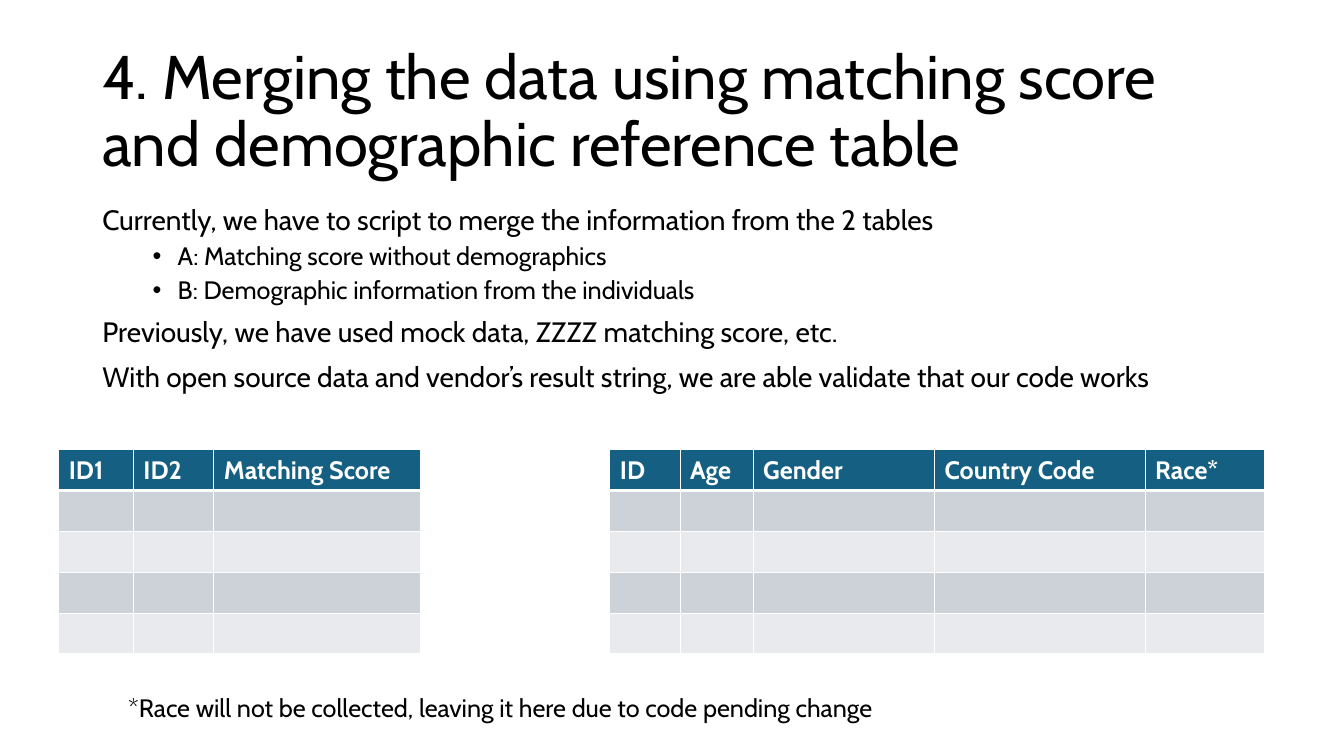
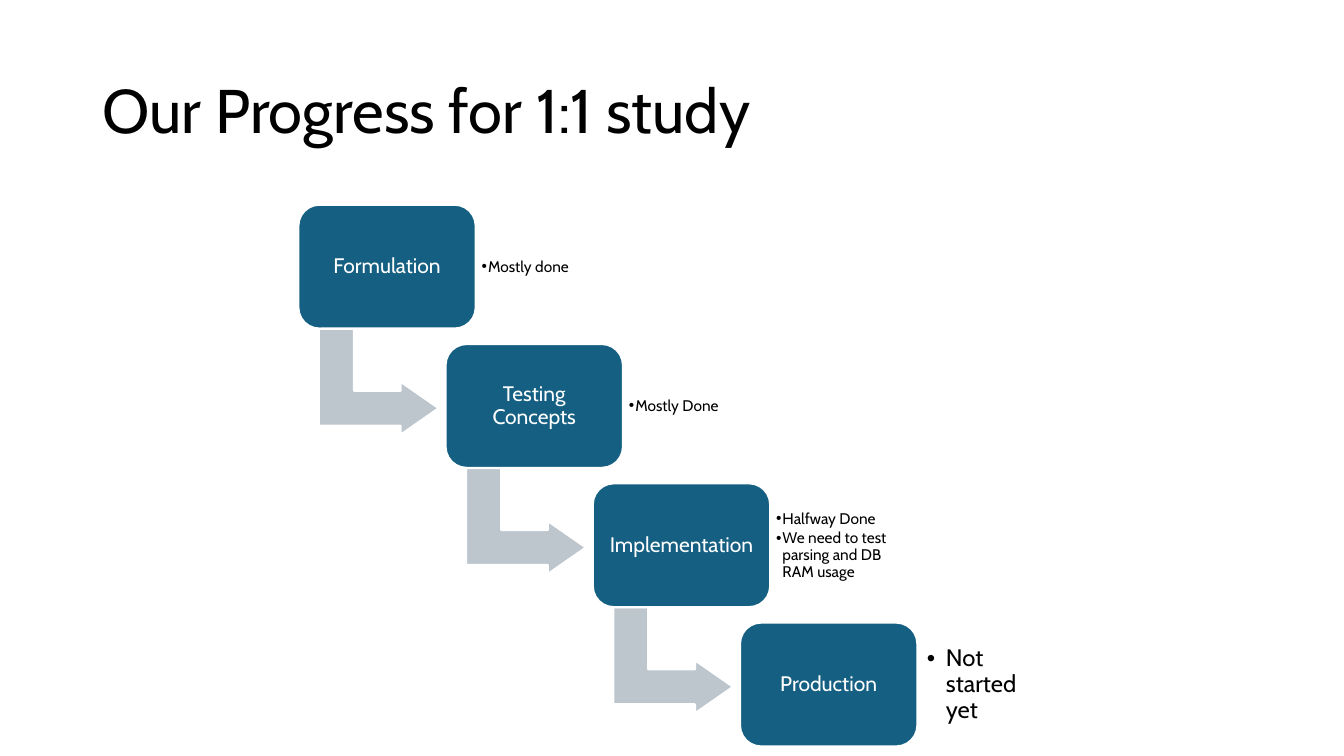
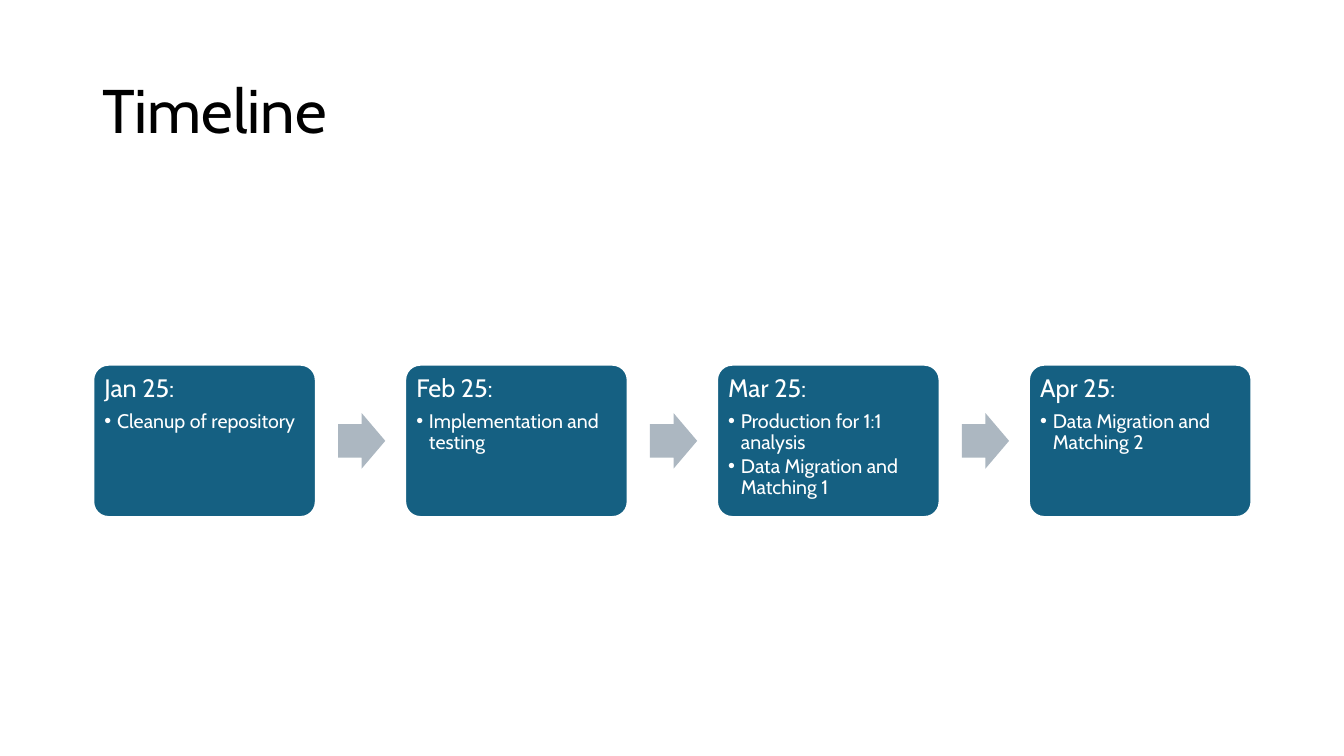
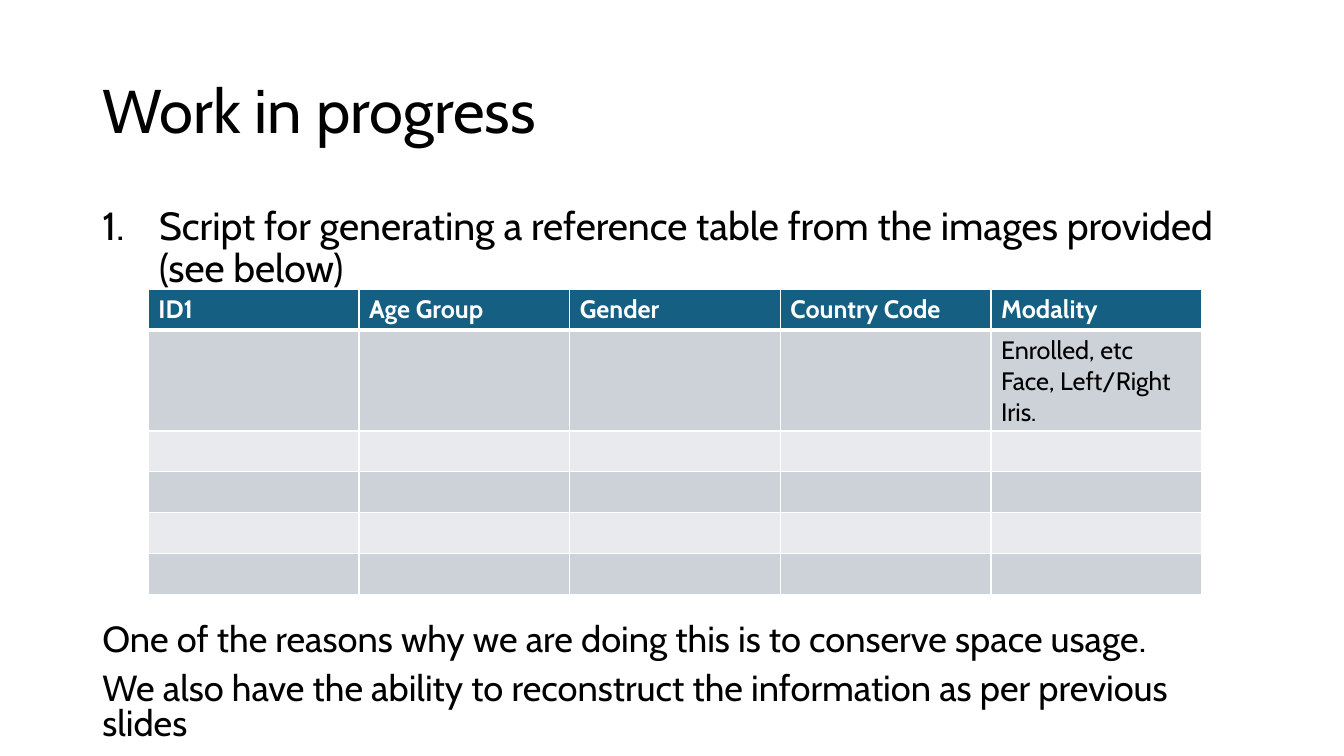
"""Builds four slides on merging matching scores, study progress and timeline."""
from dataclasses import dataclass

from lxml import etree
from pptx import Presentation
from pptx.dml.color import RGBColor
from pptx.enum.shapes import MSO_SHAPE
from pptx.enum.text import MSO_ANCHOR, PP_ALIGN
from pptx.oxml.ns import qn
from pptx.util import Cm, Pt

ROUNDED, BENT_ARROW, RIGHT_ARROW = (
    MSO_SHAPE.ROUNDED_RECTANGLE, MSO_SHAPE.BENT_UP_ARROW, MSO_SHAPE.RIGHT_ARROW)
TOP, MIDDLE = MSO_ANCHOR.TOP, MSO_ANCHOR.MIDDLE
LEFT, CENTER = PP_ALIGN.LEFT, PP_ALIGN.CENTER
FONT = "Cabin"
BLACK, WHITE, BLUE = "000000", "FFFFFF", "156082"
BENT_GREY, ARROW_GREY = "BDC5CD", "ACB7C1"
BANDS = ["E8EAED", "CCD2D8"]
rgb = RGBColor.from_string


@dataclass
class Style:
    """How one kind of paragraph looks; the indent is in centimetres."""
    size: float
    color: str = BLACK
    spacing: float = 0.9
    before: float = 0
    after: float = 0
    left: float = 0
    hang: float = 0
    bullet: str = ""
    align: int = LEFT
    bold: bool = False


TITLE = Style(44)
BODY = Style(20, before=10)
SUB_BODY = Style(18, before=5, left=1.9, hang=0.63, bullet="•")
NUMBERED = Style(28, before=10, left=1.43, hang=1.43, bullet="1.")
CLOSING = Style(25.9, spacing=0.8, before=10)
FOOTNOTE = CELL = Style(18, spacing=1)
HEADER = Style(18, WHITE, spacing=1, bold=True)
STEP = Style(15, WHITE, after=5, align=CENTER)
STEP_NOTE = Style(11, after=2, left=0.16, hang=0.16, bullet="•")
LAST_NOTE = Style(17, after=3, left=0.48, hang=0.48, bullet="•")
MONTH = Style(18, WHITE, after=6)
TASK = Style(14, WHITE, after=2, left=0.32, hang=0.32, bullet="•")


def write(tf, paras, anchor=TOP, inset=None):
    """Fill a text frame with (style, text) paragraphs."""
    tf.word_wrap = True
    tf.vertical_anchor = anchor
    if inset is not None:
        tf.margin_left = tf.margin_right = tf.margin_top = tf.margin_bottom = Cm(inset)
    for i, (style, text) in enumerate(paras):
        p = tf.add_paragraph() if i else tf.paragraphs[0]
        p.alignment = style.align
        p.line_spacing = style.spacing
        p.space_before, p.space_after = Pt(style.before), Pt(style.after)
        if style.bullet:
            pPr = p._p.get_or_add_pPr()
            pPr.set("marL", str(Cm(style.left)))
            pPr.set("indent", str(-Cm(style.hang)))
            if style.bullet == "1.":
                etree.SubElement(pPr, qn("a:buAutoNum"), type="arabicPeriod")
            else:
                etree.SubElement(pPr, qn("a:buFont"), typeface="Arial")
                etree.SubElement(pPr, qn("a:buChar"), char=style.bullet)
        for j, line in enumerate(text.split("\n")):
            if j:
                p.add_line_break()
            r = p.add_run()
            r.text = line
            r.font.name, r.font.size, r.font.bold = FONT, Pt(style.size), style.bold
            r.font.color.rgb = rgb(style.color)


def add_shape(s, kind, box, adjustments, fill, outlined=True):
    """Add a filled preset shape, with a white outline if wanted."""
    sp = s.shapes.add_shape(kind, *map(Cm, box))
    sp.shadow.inherit = False
    for i, value in enumerate(adjustments):
        sp.adjustments[i] = value
    sp.fill.solid()
    sp.fill.fore_color.rgb = rgb(fill)
    if outlined:
        sp.line.color.rgb = rgb(WHITE)
        sp.line.width = Pt(1.5)
    else:
        sp.line.fill.background()
    return sp


prs = Presentation()
prs.slide_width, prs.slide_height = Cm(33.87), Cm(19.05)

slides = []
for title in ["4. Merging the data using matching score and demographic reference table",
              "Our Progress for 1:1 study", "Timeline", "Work in progress"]:
    s = prs.slides.add_slide(prs.slide_layouts[6])
    tb = s.shapes.add_textbox(Cm(2.33), Cm(1.01), Cm(29.21), Cm(3.68))
    write(tb.text_frame, [(TITLE, title)], MIDDLE)
    slides.append(s)
merging, progress, timeline, work = slides

texts = [
    (merging, (2.33, 5.07, 29.21, 6.15), [
        (BODY, "Currently, we have to script to merge the information from the 2 tables"),
        (SUB_BODY, "A: Matching score without demographics"),
        (SUB_BODY, "B: Demographic information from the individuals"),
        (BODY, "Previously, we have used mock data, ZZZZ matching score, etc."),
        (BODY, "With open source data and vendor’s result string, we are able validate "
               "that our code works")]),
    (merging, (2.98, 17.32, 20.2, 1.03), [
        (FOOTNOTE, "*Race will not be collected, leaving it here due to code pending change")]),
    (work, (2.33, 5.07, 29.21, 2.46), [
        (NUMBERED, "Script for generating a reference table from the images provided "
                   "(see below)")]),
    (work, (2.33, 15.62, 29.21, 3.43), [
        (CLOSING, "One of the reasons why we are doing this is to conserve space usage."),
        (CLOSING, "We also have the ability to reconstruct the information as per "
                  "previous slides")]),
]
for s, box, paras in texts:
    write(s.shapes.add_textbox(*map(Cm, box)).text_frame, paras)

ROW_HEIGHT = 1.03
tables = [
    (merging, 1.48, 11.33, 5, [1.88, 2.03, 5.21], ["ID1", "ID2", "Matching Score"], {}),
    (merging, 15.37, 11.33, 5, [1.77, 1.84, 4.57, 5.31, 3.02],
     ["ID", "Age", "Gender", "Country Code", "Race*"], {}),
    (work, 3.74, 7.29, 6, [5.31] * 5,
     ["ID1", "Age Group", "Gender", "Country Code", "Modality"],
     {(1, 4): "Enrolled, etc\nFace, Left/Right Iris."}),
]
for s, left, top, rows, widths, headers, entries in tables:
    table = s.shapes.add_table(rows, len(widths), Cm(left), Cm(top),
                               Cm(sum(widths)), Cm(rows * ROW_HEIGHT)).table
    table.horz_banding = False
    for column, width in zip(table.columns, widths):
        column.width = Cm(width)
    for i, row in enumerate(table.rows):
        row.height = Cm(ROW_HEIGHT)
        for j, cell in enumerate(row.cells):
            tcPr = cell._tc.get_or_add_tcPr()
            for side in ["L", "R", "T", "B"]:
                thick = (i, side) in [(0, "B"), (1, "T")]
                ln = etree.SubElement(tcPr, qn(f"a:ln{side}"), w=str(Pt(3 if thick else 1)))
                fill = etree.SubElement(ln, qn("a:solidFill"))
                etree.SubElement(fill, qn("a:srgbClr"), val=WHITE)
            cell.fill.solid()
            cell.fill.fore_color.rgb = rgb(BANDS[i % 2] if i else BLUE)
            if i == 0:
                write(cell.text_frame, [(HEADER, headers[j])])
            elif (i, j) in entries:
                write(cell.text_frame, [(CELL, entries[i, j])])

steps = [
    ("Formulation", STEP_NOTE, 0.15, ["Mostly done"]),
    ("Testing\nConcepts", STEP_NOTE, 0.15, ["Mostly Done"]),
    ("Implementation", STEP_NOTE, 0.15,
     ["Halfway Done", "We need to test parsing and DB RAM usage"]),
    ("Production", LAST_NOTE, 0.24, ["Not started yet"]),
]
STEP_W, STEP_H = 4.47, 3.12
for i, (name, style, inset, notes) in enumerate(steps):
    x, y = 7.52 + i * 3.71, 5.16 + i * 3.51
    if i < len(steps) - 1:
        sp = add_shape(progress, BENT_ARROW, (x + 0.69, y + 2.95, 2.67, 3.02),
                       [0.33, 0.25, 0.36], BENT_GREY)
        sp.rotation = 90
    sp = add_shape(progress, ROUNDED, (x, y, STEP_W, STEP_H), [0.17], BLUE)
    write(sp.text_frame, [(STEP, name)], MIDDLE, 0.15)
    tb = progress.shapes.add_textbox(Cm(x + STEP_W), Cm(y + 0.3), Cm(3.25), Cm(2.54))
    write(tb.text_frame, [(style, note) for note in notes], MIDDLE, inset)

months = [
    ("Jan 25:", ["Cleanup of repository"]),
    ("Feb 25:", ["Implementation and testing"]),
    ("Mar 25:", ["Production for 1:1 analysis", "Data Migration and Matching 1"]),
    ("Apr 25:", ["Data Migration and Matching 2"]),
]
for i, (month, tasks) in enumerate(months):
    x = 2.35 + i * 7.86
    sp = add_shape(timeline, ROUNDED, (x, 9.19, 5.61, 3.84), [0.1], BLUE)
    write(sp.text_frame, [(MONTH, month)] + [(TASK, task) for task in tasks], TOP, 0.17)
    if i < len(months) - 1:
        add_shape(timeline, RIGHT_ARROW, (x + 6.17, 10.41, 1.19, 1.4), [0.6, 0.5],
                  ARROW_GREY, outlined=False)

prs.save("out.pptx")
